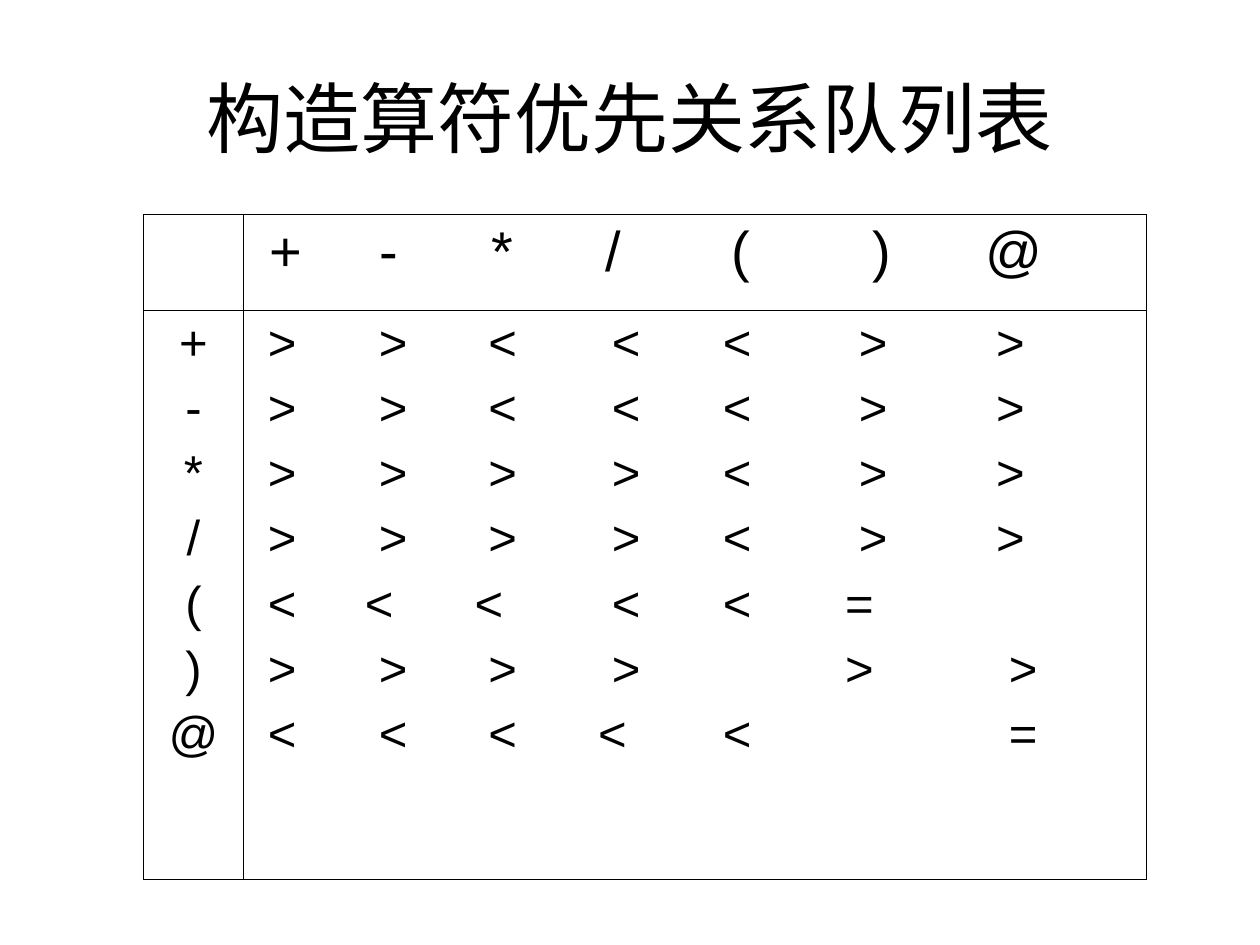
from dataclasses import dataclass

from lxml.etree import SubElement
from pptx import Presentation
from pptx.dml.color import RGBColor
from pptx.enum.text import MSO_ANCHOR, PP_ALIGN
from pptx.oxml.ns import qn
from pptx.util import Inches, Pt


@dataclass(frozen=True)
class Theme:
    ink: str = "000000"
    title_font: str = "Calibri"
    body_font: str = "Arial"
    title_size: float = 44
    header_size: float = 32
    body_size: float = 28
    row_gap: float = 6
    border: float = 0.45


THEME = Theme()
STOPS = (0.21, 1.09, 1.96, 2.94, 3.82, 4.90, 5.99)


@dataclass(frozen=True)
class Relations:
    """One operator and its relations, each centred on a tab stop in inches."""
    operator: str
    signs: str
    stops: tuple[float, ...] = STOPS


OPERATORS = Relations("", "+-*/()@", (0.24, 1.06, 1.96, 2.84, 3.85, 4.97, 6.02))
PRECEDENCE = [
    Relations("+", ">><<<>>"),
    Relations("-", ">><<<>>"),
    Relations("*", ">>>><>>"),
    Relations("/", ">>>><>>"),
    Relations("(", "<<<<<=", (0.21, 0.98, 1.85, 2.94, 3.82, 4.79)),
    Relations(")", ">>>>>>", (0.21, 1.09, 1.96, 2.94, 4.79, 6.09)),
    Relations("@", "<<<<<=", (0.21, 1.09, 1.96, 2.83, 3.82, 6.09)),
]


def add_text(paragraph, text: str, size: float, font: str = THEME.body_font) -> None:
    run = paragraph.add_run()
    run.text = text
    run.font.size = Pt(size)
    run.font.name = font
    run.font.color.rgb = RGBColor.from_string(THEME.ink)


def add_relations(paragraph, relations: Relations, size: float) -> None:
    tab_list = SubElement(paragraph._p.get_or_add_pPr(), qn("a:tabLst"))
    for stop in relations.stops:
        SubElement(tab_list, qn("a:tab"), pos=str(Inches(stop)), algn="ctr")
    for sign in relations.signs:
        add_text(paragraph, "\t" + sign, size)


def next_paragraph(frame, index: int):
    if index == 0:
        return frame.paragraphs[0]
    paragraph = frame.add_paragraph()
    paragraph.space_before = Pt(THEME.row_gap)
    return paragraph


def style_cell(cell) -> None:
    properties = cell._tc.get_or_add_tcPr()
    for side in ("a:lnL", "a:lnR", "a:lnT", "a:lnB"):
        line = SubElement(properties, qn(side), w=str(Pt(THEME.border)))
        fill = SubElement(line, qn("a:solidFill"))
        SubElement(fill, qn("a:srgbClr"), val=THEME.ink)
    cell.fill.background()


def add_title(slide, text: str) -> None:
    frame = slide.shapes.add_textbox(
        Inches(0.5), Inches(0.3), Inches(9), Inches(1.25)).text_frame
    frame.word_wrap = True
    frame.vertical_anchor = MSO_ANCHOR.MIDDLE
    paragraph = frame.paragraphs[0]
    paragraph.alignment = PP_ALIGN.CENTER
    add_text(paragraph, text, THEME.title_size, THEME.title_font)


def add_precedence_table(slide) -> None:
    widths, heights = (0.79, 7.17), (0.76, 4.52)
    table = slide.shapes.add_table(
        2, 2, Inches(1.14), Inches(1.7),
        Inches(sum(widths)), Inches(sum(heights))).table
    table.first_row = False
    table.horz_banding = False
    for column, width in zip(table.columns, widths):
        column.width = Inches(width)
    for row, height in zip(table.rows, heights):
        row.height = Inches(height)
    for cell in table.iter_cells():
        style_cell(cell)

    # Header operators
    header = table.cell(0, 1).text_frame.paragraphs[0]
    add_relations(header, OPERATORS, THEME.header_size)

    # Operators on the left, their relations on the right
    left, right = (table.cell(1, column).text_frame for column in range(2))
    for index, relations in enumerate(PRECEDENCE):
        operator = next_paragraph(left, index)
        operator.alignment = PP_ALIGN.CENTER
        add_text(operator, relations.operator, THEME.body_size)
        add_relations(next_paragraph(right, index), relations, THEME.body_size)


def main() -> None:
    presentation = Presentation()
    presentation.slide_width = Inches(10)
    presentation.slide_height = Inches(7.5)
    slide = presentation.slides.add_slide(presentation.slide_layouts[6])
    add_title(slide, "构造算符优先关系队列表")
    add_precedence_table(slide)
    presentation.save("out.pptx")


if __name__ == "__main__":
    main()
